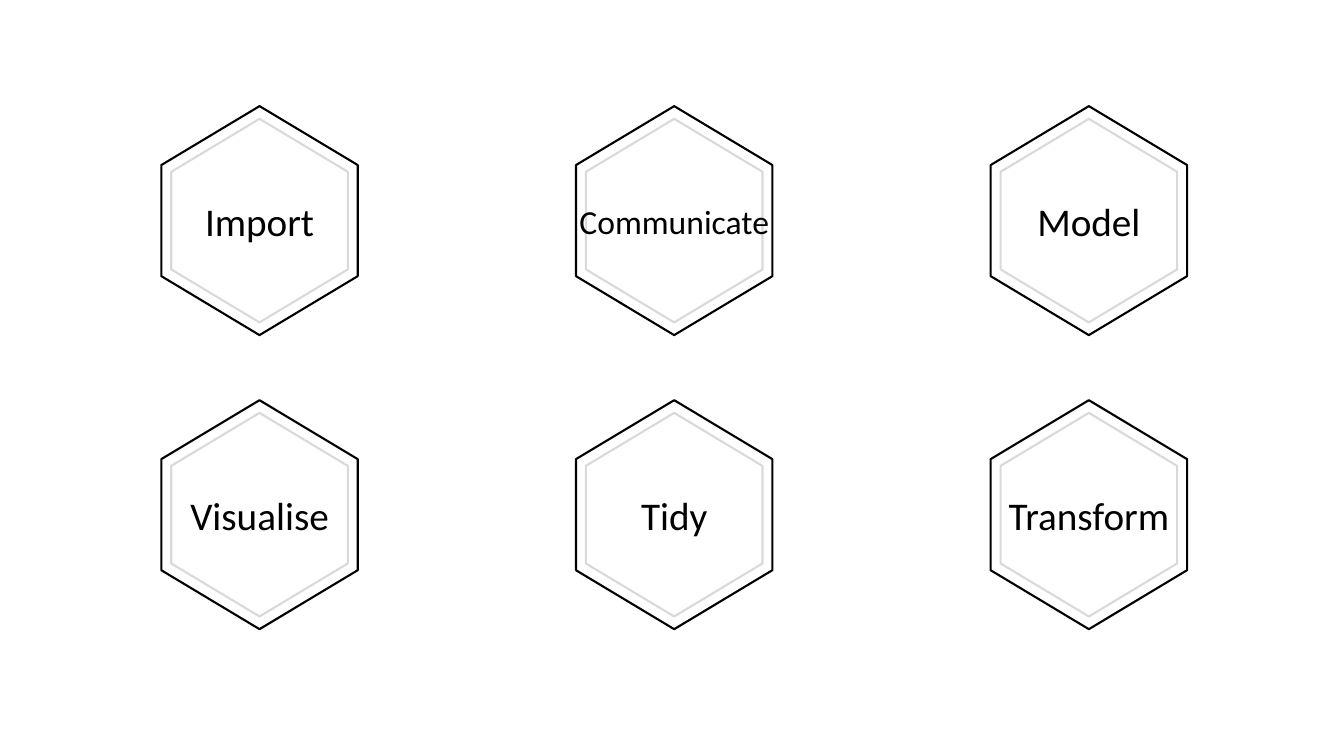
"""Build a slide with a grid of six labelled hexagon badges."""
from lxml import etree
from pptx import Presentation
from pptx.dml.color import RGBColor
from pptx.enum.shapes import MSO_SHAPE
from pptx.enum.text import MSO_ANCHOR, PP_ALIGN
from pptx.oxml.ns import qn
from pptx.util import Cm, Pt

HEX = MSO_SHAPE.HEXAGON
MIDDLE = MSO_ANCHOR.MIDDLE
CENTER = PP_ALIGN.CENTER

STAGES = [
    [("Import", 28), ("Communicate", 24), ("Model", 28)],
    [("Visualise", 28), ("Tidy", 28), ("Transform", 28)],
]
COLORS = {"fill": "FFFFFF", "ink": "000000"}
FONT = "Calibri"
OPAQUE = 85000
FIRST_X, FIRST_Y = 6.54, 5.56
STEP_X, STEP_Y = 10.45, 7.41
INNER = (5.13, 4.45)
OUTER = (5.77, 4.95)


def color(name):
    return RGBColor.from_string(COLORS[name])


def add_hex(group, x, y, size):
    width, height = size
    shape = group.shapes.add_shape(
        HEX, Cm(x - width / 2), Cm(y - height / 2), Cm(width), Cm(height))
    shape.rotation = 90
    shape.adjustments[0] = 0.3
    shape.shadow.inherit = False
    shape.fill.solid()
    shape.fill.fore_color.rgb = color("fill")
    tint = shape.fill._xPr.find(".//" + qn("a:srgbClr"))
    etree.SubElement(tint, qn("a:alpha"), val=str(OPAQUE))
    shape.line.color.rgb = color("ink")
    shape.line.width = Pt(1.5)
    return shape


def add_label(shape, text, size):
    frame = shape.text_frame
    frame.text = text
    frame.word_wrap = False
    frame.vertical_anchor = MIDDLE
    frame._txBody.bodyPr.set("vert", "vert270")
    line = frame.paragraphs[0]
    line.alignment = CENTER
    font = line.runs[0].font
    font.name = FONT
    font.size = Pt(size)
    font.color.rgb = color("ink")


def main():
    deck = Presentation()
    deck.slide_width, deck.slide_height = Cm(33.87), Cm(19.05)
    slide = deck.slides.add_slide(deck.slide_layouts[6])
    for row, stages in enumerate(STAGES):
        for col, (text, size) in enumerate(stages):
            x = FIRST_X + col * STEP_X
            y = FIRST_Y + row * STEP_Y
            badge = slide.shapes.add_group_shape()
            add_hex(badge, x, y, INNER)
            add_label(add_hex(badge, x, y, OUTER), text, size)
    deck.save("out.pptx")


if __name__ == "__main__":
    main()
